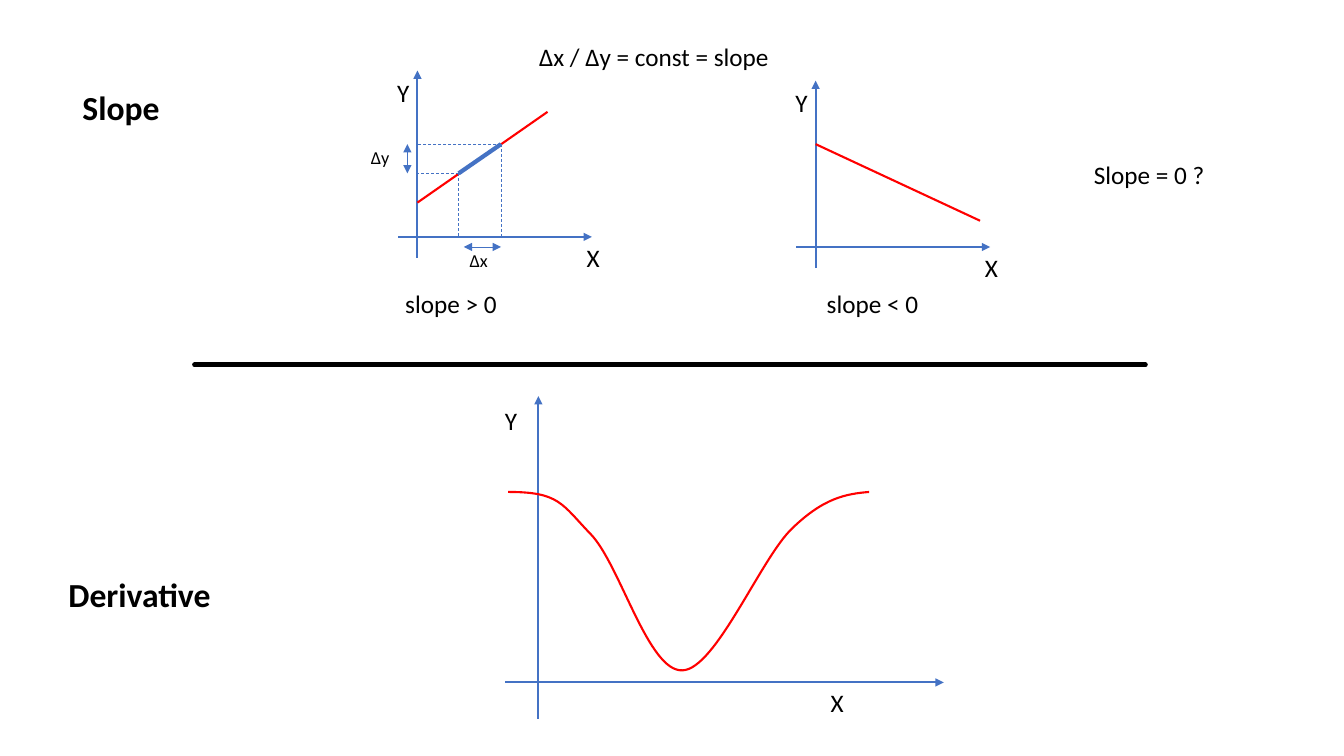
from lxml import etree
from pptx import Presentation
from pptx.dml.color import RGBColor
from pptx.enum.dml import MSO_LINE
from pptx.enum.shapes import MSO_CONNECTOR
from pptx.enum.text import MSO_ANCHOR
from pptx.oxml.ns import qn
from pptx.util import Inches, Pt

WIDTH, HEIGHT = Inches(13.33), Inches(7.5)
BLUE = RGBColor(0x44, 0x72, 0xC4)
RED = RGBColor(0xFF, 0x00, 0x00)
BLACK = RGBColor(0x00, 0x00, 0x00)

# Positions are on a grid of 100 columns by 100 rows.
RISING_ORIGIN = (31.06, 31.33)
FALLING_ORIGIN = (60.69, 32.67)
DERIVATIVE_ORIGIN = (40.06, 90.27)
# Axis reach from the origin (left, right, down, up), then X and Y label offsets.
SMALL_AXES = ((1.43, 12.98, 2.8, 22), (11.85, 0), (-2.25, -21.8))
LARGE_AXES = ((2.48, 30.16, 4.8, 37.87), (21.01, 0), (-3.23, -37.33))

VALLEY = [
    (64.67, 65.07),
    (62.94, 65.33), (61.29, 65.87), (58.96, 69.87),
    (56.64, 73.73), (53.26, 88.53), (50.79, 88.67),
    (48.24, 88.93), (46.14, 74.67), (43.96, 70.67),
    (41.79, 66.67), (41.64, 65.07), (37.81, 65.07),
]


def col(n):
    return round(WIDTH * n / 100)


def row(n):
    return round(HEIGHT * n / 100)


def add_label(slide, text, at, width=3, height=5.33, size=18):
    box = slide.shapes.add_textbox(col(at[0]), row(at[1]), col(width), row(height))
    box.text_frame.word_wrap = True
    run = box.text_frame.paragraphs[0].add_run()
    run.text = text
    run.font.name = "Calibri"
    run.font.size = Pt(size)
    run.font.color.rgb = BLACK
    return box


def add_heading(slide, text, at, width):
    box = add_label(slide, text, at, width, height=12, size=24)
    box.text_frame.vertical_anchor = MSO_ANCHOR.BOTTOM
    paragraph = box.text_frame.paragraphs[0]
    paragraph.line_spacing = 0.9
    paragraph.runs[0].font.bold = True


def add_line(slide, start, end, color, weight, dashed=False, arrows=()):
    """Draw a straight line; arrows names the ends ("headEnd", "tailEnd") that have one."""
    line = slide.shapes.add_connector(
        MSO_CONNECTOR.STRAIGHT, col(start[0]), row(start[1]), col(end[0]), row(end[1]))
    line.line.color.rgb = color
    line.line.width = Pt(weight)
    if dashed:
        line.line.dash_style = MSO_LINE.DASH
    properties = line._element.spPr
    for arrow in arrows:
        etree.SubElement(properties.find(qn("a:ln")), qn("a:" + arrow), type="triangle")
    etree.SubElement(properties, qn("a:effectLst"))
    return line


def add_axes(slide, origin, axes):
    (left, right, down, up), x_label, y_label = axes
    x, y = origin
    for start, end in (((x - left, y), (x + right, y)), ((x, y + down), (x, y - up))):
        add_line(slide, start, end, BLUE, 1.5, arrows=["tailEnd"])
    for name, (dx, dy) in (("X", x_label), ("Y", y_label)):
        add_label(slide, name, (x + dx, y + dy))


def add_curve(slide, points, color, weight):
    """Draw a Bézier curve: a start, then two control points and an end per segment."""
    start, *rest = [(col(x), row(y)) for x, y in points]
    builder = slide.shapes.build_freeform(*start, scale=1.0)
    builder.add_line_segments(rest, close=False)
    curve = builder.convert_to_shape()
    curve.shadow.inherit = False
    curve.fill.background()
    curve.line.color.rgb = color
    curve.line.width = Pt(weight)
    outline = next(curve._element.iter(qn("a:path")))
    steps = outline.findall(qn("a:lnTo"))
    for i in range(0, len(steps), 3):
        bezier = etree.SubElement(outline, qn("a:cubicBezTo"))
        for step in steps[i:i + 3]:
            bezier.append(step[0])
            outline.remove(step)


def add_slope_triangle(slide):
    """Mark Δx and Δy on the rising line."""
    axis_x, axis_y = RISING_ORIGIN
    low, high = (34.13, 22.93), (37.28, 19.07)
    add_line(slide, low, high, BLUE, 3)
    for x, y in (low, high):
        for foot in ((x, axis_y), (axis_x, y)):
            add_line(slide, (x, y), foot, BLUE, 0.5, dashed=True)
    for start, end in (((34.51, 32.67), (high[0], 32.67)),
                       ((30.31, high[1]), (30.31, low[1]))):
        add_line(slide, start, end, BLUE, 0.5, arrows=["headEnd", "tailEnd"])
    for name, at in (("Δx", (34.21, 32.27)), ("Δy", (26.86, 18.67))):
        add_label(slide, name, at, width=3.4, height=4.27, size=13)


def main():
    prs = Presentation()
    prs.slide_width, prs.slide_height = WIDTH, HEIGHT
    slide = prs.slides.add_slide(prs.slide_layouts[6])

    add_heading(slide, "Slope", (5.4, 5.6), 12.68)
    add_heading(slide, "Derivative", (4.35, 70), 15.6)

    add_axes(slide, RISING_ORIGIN, SMALL_AXES)
    add_line(slide, (31.06, 26.8), (40.74, 14.8), RED, 1.5)
    add_slope_triangle(slide)

    add_axes(slide, FALLING_ORIGIN, SMALL_AXES)
    add_line(slide, (60.69, 19.07), (72.92, 29.2), RED, 1.5)

    add_axes(slide, DERIVATIVE_ORIGIN, LARGE_AXES)
    add_curve(slide, VALLEY, RED, 1.5)

    divider = add_line(slide, (14.48, 48.27), (85.22, 48.27), BLACK, 3.5)
    divider._element.spPr.find(qn("a:ln")).set("cap", "rnd")

    for text, at, width in (
        ("Δx / Δy = const = slope", (39.38, 4.8), 19.35),
        ("slope > 0", (29.41, 37.47), 13.2),
        ("slope < 0", (60.77, 37.47), 13.2),
        ("Slope = 0 ?", (80.65, 20.4), 13.58),
    ):
        add_label(slide, text, at, width)

    prs.save("out.pptx")


if __name__ == "__main__":
    main()
